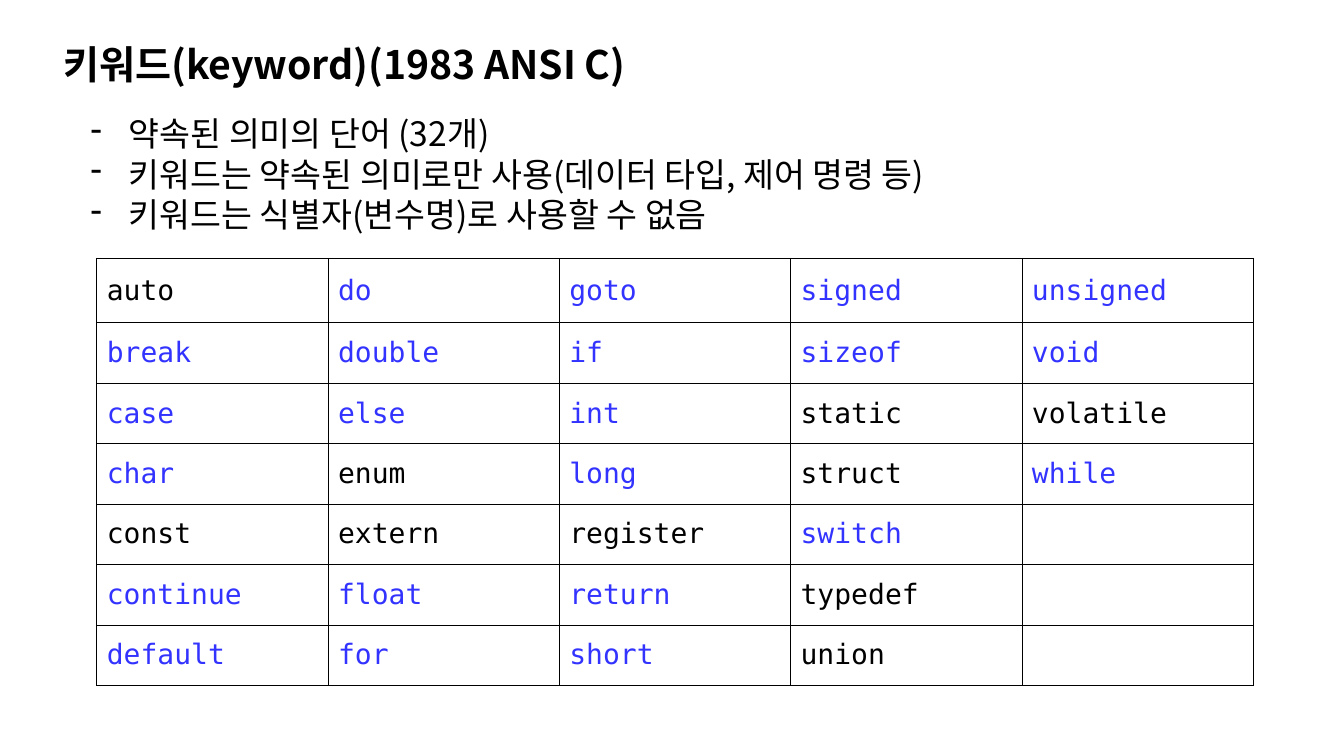
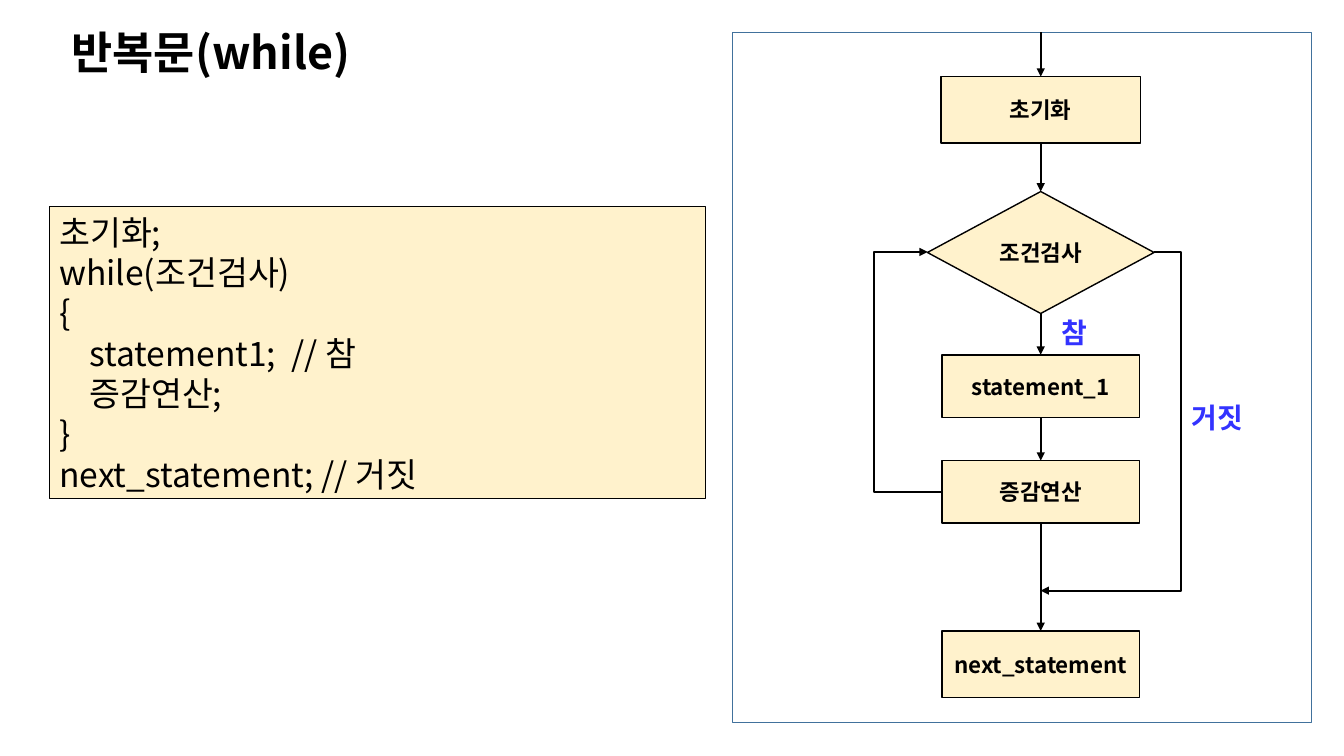
from lxml import etree
from pptx import Presentation
from pptx.dml.color import RGBColor
from pptx.enum import shapes, text
from pptx.oxml import ns
from pptx.util import Inches, Pt

# Shared style
HUE = {"ink": "000000", "blue": "3333FF", "cream": "FFF2CC",
       "white": "FFFFFF", "frame": "41719C"}
SANS, TITLE, MONO = "Noto Sans CJK KR", "Noto Sans CJK TC", "DejaVu Sans Mono"
LINE = Pt(28.8)

# Content: keywords run down the columns
HEAD = "키워드(keyword)(1983 ANSI C)"
NOTES = ["약속된 의미의 단어 (32개)",
         "키워드는 약속된 의미로만 사용(데이터 타입, 제어 명령 등)",
         "키워드는 식별자(변수명)로 사용할 수 없음"]
WORDS = ["auto", "break", "case", "char", "const", "continue", "default",
         "do", "double", "else", "enum", "extern", "float", "for",
         "goto", "if", "int", "long", "register", "return", "short",
         "signed", "sizeof", "static", "struct", "switch", "typedef", "union",
         "unsigned", "void", "volatile", "while"]
PLAIN = {"auto", "const", "enum", "extern", "register", "static",
         "struct", "typedef", "union", "volatile"}
ROWS, COLS = 7, 5

LOOP = "반복문(while)"
CODE = ["초기화;", "while(조건검사)", "{", "    statement1;  // 참",
        "    증감연산;", "}", "next_statement; // 거짓"]
MID = 10.33
PROC = shapes.MSO_SHAPE.FLOWCHART_PROCESS
# Label, shape, top, width, height
STEPS = [("초기화", PROC, 0.76, 1.98, 0.66),
         ("조건검사", shapes.MSO_SHAPE.FLOWCHART_DECISION, 1.9, 2.25, 1.21),
         ("statement_1", PROC, 3.52, 1.96, 0.62),
         ("증감연산", PROC, 4.57, 1.96, 0.62),
         ("next_statement", PROC, 6.26, 1.96, 0.66)]
# Label, left, top, width, height
MARKS = [("참", 10.44, 3.08, 0.47, 0.44), ("거짓", 11.73, 3.92, 0.84, 0.44)]


def rgb(name):
    return RGBColor.from_string(HUE[name])


def sub(node, tag, **attrs):
    return etree.SubElement(node, ns.qn(tag), attrs)


def style(par, size, face=SANS, hue="ink", bold=False):
    for run in par.runs:
        font = run.font
        font.size, font.name, font.bold = Pt(size), face, bold
        font.color.rgb = rgb(hue)
        sub(run._r.get_or_add_rPr(), "a:ea", typeface=face)


def fill(frame, lines, size, **look):
    frame.word_wrap = True
    frame.text = "\n".join(lines)
    for par in frame.paragraphs:
        style(par, size, **look)


def place(shape, box):
    shape.left, shape.top, shape.width, shape.height = map(Inches, box)


def start(deck, words, box, pad, size, face):
    slide = deck.slides.add_slide(deck.slide_layouts[5])
    title = slide.shapes.title
    place(title, box)
    frame = title.text_frame
    fill(frame, [words], size, face=face, bold=True)
    frame.auto_size = text.MSO_AUTO_SIZE.NONE
    frame.vertical_anchor = text.MSO_ANCHOR.MIDDLE
    frame.margin_left = Inches(pad)
    frame.paragraphs[0].alignment = text.PP_ALIGN.LEFT
    return slide


def block(slide, kind, box, back, edge, width):
    shape = slide.shapes.add_shape(kind, *map(Inches, box))
    shape.shadow.inherit = False
    if back:
        shape.fill.solid()
        shape.fill.fore_color.rgb = rgb(back)
    else:
        shape.fill.background()
    shape.line.color.rgb = rgb(edge)
    shape.line.width = Pt(width)
    return shape


def arrow(slide, kind, x1, y1, x2, y2):
    link = slide.shapes.add_connector(kind, *map(Inches, (x1, y1, x2, y2)))
    link.line.color.rgb = rgb("ink")
    link.line.width = Pt(1.5)
    sub(link.line._get_or_add_ln(), "a:tailEnd", type="triangle")
    sub(link._element.spPr, "a:effectLst")
    return link


def elbow(slide, x1, y1, x2, y2, turn):
    # The turn is the x of the upright part
    link = arrow(slide, shapes.MSO_CONNECTOR.ELBOW, x1, y1, x2, y2)
    geom = link._element.spPr.find(ns.qn("a:prstGeom"))
    share = round((turn - x1) / (x2 - x1) * 100000)
    sub(geom.get_or_add_avLst(), "a:gd", name="adj1", fmla=f"val {share}")


def border(cell):
    props = cell._tc.get_or_add_tcPr()
    for at, side in enumerate(("a:lnL", "a:lnR", "a:lnT", "a:lnB")):
        edge = etree.Element(ns.qn(side), w=str(Pt(0.45)))
        sub(sub(edge, "a:solidFill"), "a:srgbClr", val=HUE["ink"])
        props.insert(at, edge)


def keywords(deck):
    slide = start(deck, HEAD, (0.47, 0.23, 9.72, 0.8), 0.16, 28, SANS)

    # Keyword table
    table = slide.shapes.add_table(
        ROWS, COLS, *map(Inches, (0.96, 2.56, 11.48, 4.24))).table
    for row in table.rows:
        row.height = Inches(0.6)
    table.rows[0].height = Inches(0.64)
    for at, cell in enumerate(table.iter_cells()):
        row, col = divmod(at, COLS)
        spot = col * ROWS + row
        cell.fill.solid()
        cell.fill.fore_color.rgb = rgb("white")
        border(cell)
        cell.vertical_anchor = text.MSO_ANCHOR.MIDDLE
        if spot < len(WORDS):
            word = WORDS[spot]
            cell.text = word
            style(cell.text_frame.paragraphs[0], 20, MONO,
                  "ink" if word in PLAIN else "blue")

    # Dashed list
    frame = slide.shapes.add_textbox(
        *map(Inches, (0.8, 0.89, 11.65, 1.67))).text_frame
    fill(frame, NOTES, 24)
    frame.vertical_anchor = text.MSO_ANCHOR.MIDDLE
    for par in frame.paragraphs:
        par.line_spacing = LINE
        props = par._p.get_or_add_pPr()
        props.set("marL", str(Inches(0.38)))
        props.set("indent", str(-Inches(0.38)))
        sub(props, "a:buChar", char="-")


def loop(deck):
    slide = start(deck, LOOP, (0.51, 0.15, 5.97, 0.8), 0.2, 32, TITLE)
    slide.shapes.title.text_frame.paragraphs[0].line_spacing = 0.9
    rect = shapes.MSO_SHAPE.RECTANGLE
    block(slide, rect, (7.27, 0.32, 5.75, 6.85), None, "frame", 1)

    # Flow steps, all on one centre line
    nodes = []
    for label, kind, top, wide, high in STEPS:
        node = block(slide, kind, (MID - wide / 2, top, wide, high),
                     "cream", "ink", 1)
        fill(node.text_frame, [label], 16, bold=True)
        node.text_frame.vertical_anchor = text.MSO_ANCHOR.MIDDLE
        node.text_frame.paragraphs[0].alignment = text.PP_ALIGN.CENTER
        nodes.append(node)

    # Arrows down
    straight = shapes.MSO_CONNECTOR.STRAIGHT
    arrow(slide, straight, MID, 0.32, MID, 0.76).end_connect(nodes[0], 0)
    for above, below in zip(nodes, nodes[1:]):
        link = arrow(slide, straight, MID, 0, MID, 1)
        link.begin_connect(above, 2)
        link.end_connect(below, 0)

    # Way out and way back
    elbow(slide, 11.46, 2.5, MID, 5.86, 11.72)
    elbow(slide, 9.35, 4.88, 9.21, 2.5, 8.68)
    for label, *box in MARKS:
        mark = slide.shapes.add_textbox(*map(Inches, box))
        fill(mark.text_frame, [label], 20, hue="blue", bold=True)

    # Code box
    code = block(slide, rect, (0.49, 2.05, 6.51, 2.9), "cream", "ink", 0.75)
    fill(code.text_frame, CODE, 24)
    code.text_frame.vertical_anchor = text.MSO_ANCHOR.TOP
    for par in code.text_frame.paragraphs:
        par.alignment = text.PP_ALIGN.LEFT
        par.line_spacing = LINE


def main():
    deck = Presentation()
    deck.slide_width, deck.slide_height = Inches(13.34), Inches(7.5)
    keywords(deck)
    loop(deck)
    deck.save("out.pptx")


if __name__ == "__main__":
    main()
